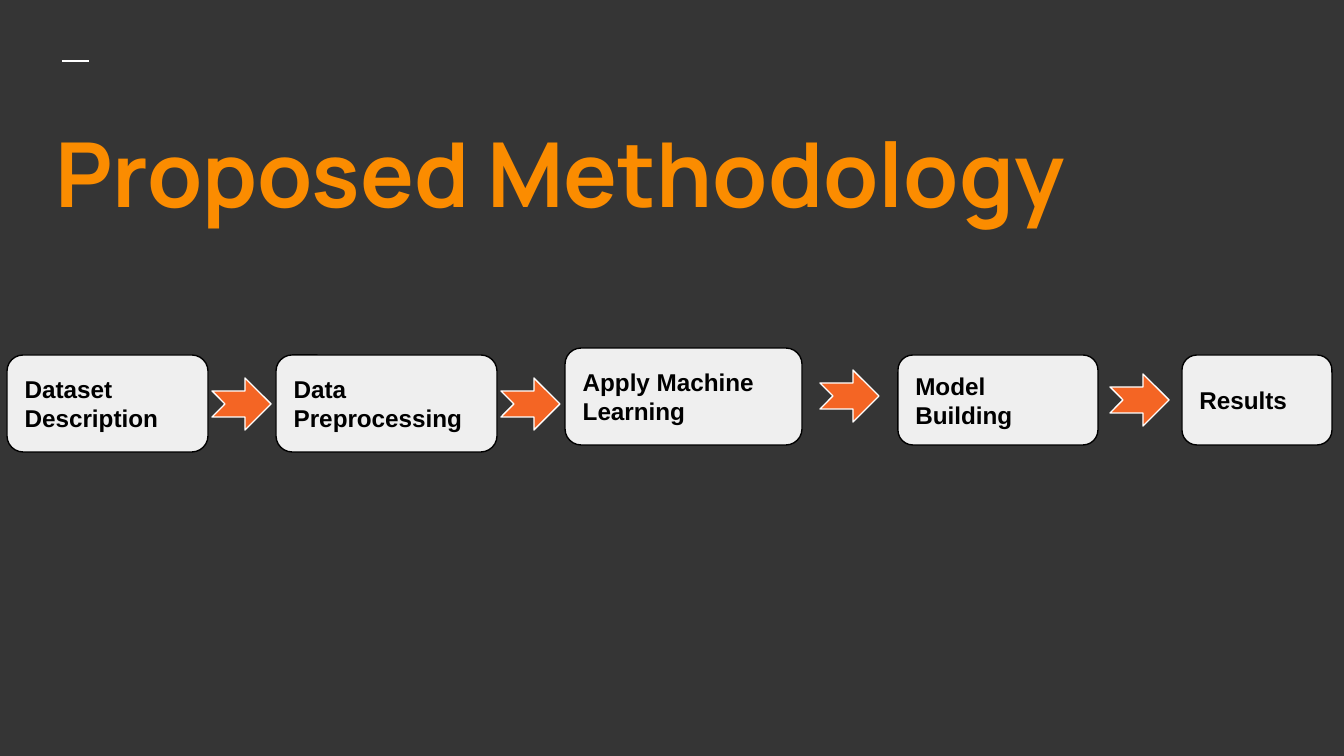
from pptx import Presentation
from pptx.dml.color import RGBColor
from pptx.enum.shapes import MSO_CONNECTOR as Link, MSO_SHAPE as Shape
from pptx.enum.text import MSO_ANCHOR as Anchor, MSO_AUTO_SIZE as Fit, PP_ALIGN as Align
from pptx.oxml.ns import qn
from pptx.util import Pt
from lxml.etree import SubElement

SCALE = 9144000 / 1344
WIDE, HIGH = 1344, 756
INSET = 13

# label, left, top, width, height
STEPS = [
    ("Dataset Description", 7, 355, 201, 97),
    ("Data Preprocessing", 276, 355, 221, 97),
    ("Apply Machine Learning", 565, 348, 237, 97),
    ("Model Building", 898, 355, 200, 90),
    ("Results", 1182, 355, 150, 90),
]
ARROWS = [(212, 378), (501, 378), (820, 370), (1110, 374)]


def px(num):
    return round(num * SCALE)


def tint(code):
    return RGBColor.from_string(code)


def place(item, *box):
    item.left, item.top, item.width, item.height = map(px, box)


def write(item, text, font, size, code, anchor):
    """Put one bold, left-aligned paragraph in a shape."""
    frame = item.text_frame
    frame.text = text
    frame.word_wrap = True
    frame.auto_size = Fit.NONE
    frame.vertical_anchor = anchor
    frame.margin_left = frame.margin_right = px(INSET)
    frame.margin_top = frame.margin_bottom = px(INSET)
    para = frame.paragraphs[0]
    para.alignment = Align.LEFT
    face = para.runs[0].font
    face.name, face.size, face.bold = font, Pt(size), True
    face.color.rgb = tint(code)


def add_shape(slide, kind, box, fill, line):
    item = slide.shapes.add_shape(kind, *map(px, box))
    item.shadow.inherit = False
    item.fill.solid()
    item.fill.fore_color.rgb = tint(fill)
    item.line.color.rgb = tint(line)
    item.line.width = Pt(0.75)
    return item


def add_dash(slide):
    dash = slide.shapes.add_connector(Link.STRAIGHT, px(62), px(61), px(89), px(61))
    dash.line.color.rgb = tint("FFFFFF")
    dash.line.width = Pt(1.5)
    SubElement(dash._element.spPr, qn("a:effectLst"))


def add_title(slide):
    title = slide.shapes.title
    place(title, 42, 105, 1269, 563)
    write(title, "Proposed Methodology", "Manrope", 48, "FB8C00", Anchor.TOP)


def add_step(slide, label, *box):
    step = add_shape(slide, Shape.FLOWCHART_ALTERNATE_PROCESS, box, "EFEFEF", "000000")
    write(step, label, "Arial", 13, "000000", Anchor.MIDDLE)


def add_arrow(slide, left, top):
    add_shape(slide, Shape.NOTCHED_RIGHT_ARROW, (left, top, 59, 52), "F46524", "FFFFFF")


def main():
    deck = Presentation()
    deck.slide_width, deck.slide_height = px(WIDE), px(HIGH)
    slide = deck.slides.add_slide(deck.slide_layouts[5])
    back = slide.background.fill
    back.solid()
    back.fore_color.rgb = tint("353535")
    add_dash(slide)
    add_title(slide)
    for step in STEPS:
        add_step(slide, *step)
    for spot in ARROWS:
        add_arrow(slide, *spot)
    deck.save("out.pptx")


if __name__ == "__main__":
    main()
